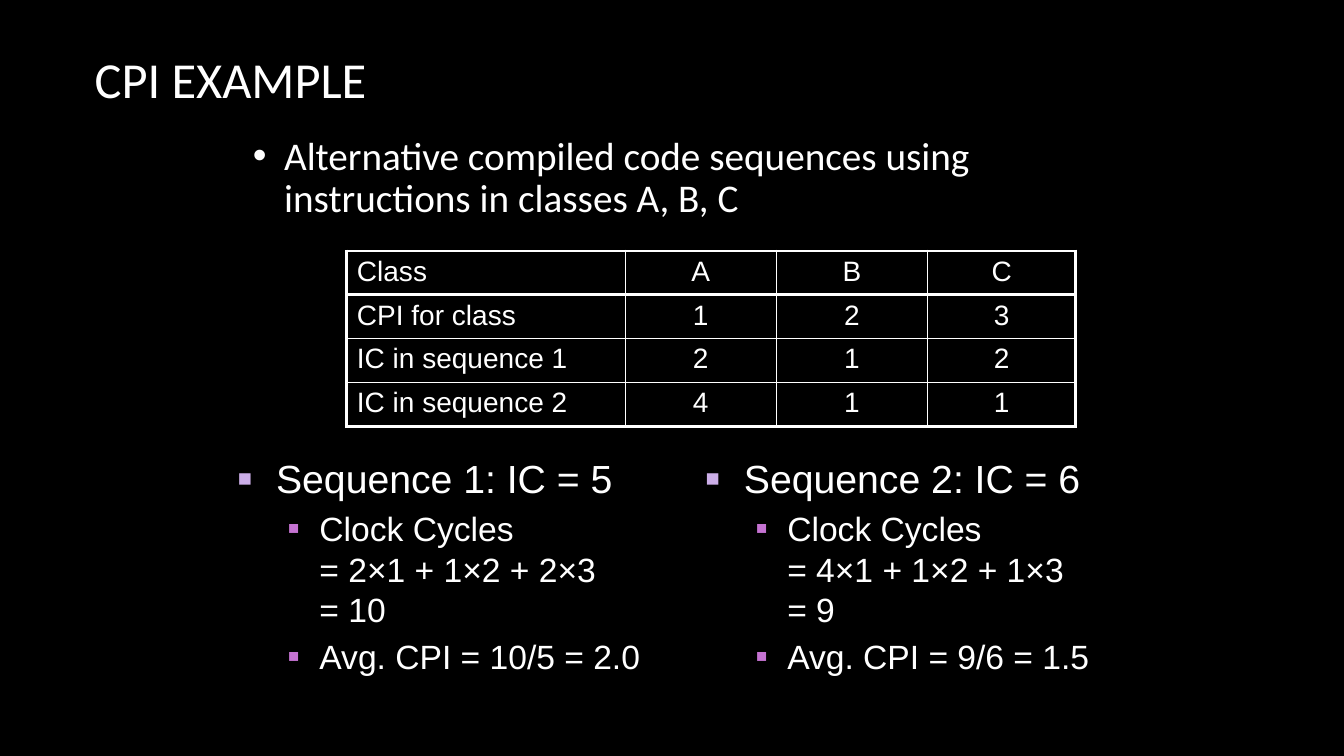
"""Build the CPI example slide: class table and two code sequences."""
from lxml.etree import SubElement
from pptx import Presentation
from pptx.dml.color import RGBColor
from pptx.enum.text import MSO_ANCHOR as ANCHOR, PP_ALIGN as ALIGN
from pptx.oxml.ns import qn
from pptx.util import Inches, Pt

BLACK = RGBColor(0x00, 0x00, 0x00)
WHITE = RGBColor(0xFF, 0xFF, 0xFF)
LILAC = RGBColor(0xCC, 0xAE, 0xE8)
ORCHID = RGBColor(0xC5, 0x73, 0xD2)

TITLE = "CPI EXAMPLE"
INTRO = "Alternative compiled code sequences using instructions in classes A, B, C"
ROWS = [
    ("Class", "A", "B", "C"),
    ("CPI for class", "1", "2", "3"),
    ("IC in sequence 1", "2", "1", "2"),
    ("IC in sequence 2", "4", "1", "1"),
]
COL_WIDTHS = (2.76, 1.5, 1.5, 1.47)
ROW_HEIGHTS = (0.43, 0.43, 0.43, 0.44)
SEQUENCES = [
    ("Sequence 1: IC = 5", "Clock Cycles\n= 2×1 + 1×2 + 2×3\n= 10", "Avg. CPI = 10/5 = 2.0"),
    ("Sequence 2: IC = 6", "Clock Cycles\n= 4×1 + 1×2 + 1×3\n= 9", "Avg. CPI = 9/6 = 1.5"),
]
SEQUENCE_LEFTS = (2.26, 6.9)
HEAD = dict(size=28, before=20, bullet="■", bullet_color=LILAC, bullet_pct=60, indent=(0.38, -0.38))
ITEM = dict(size=24, before=20, bullet="■", bullet_color=ORCHID, bullet_pct=55,
            indent=(0.81, -0.31), level=1)


def write(p, text, size, font="Arial", align=ALIGN.LEFT, level=0, line=None, before=0,
          after=0, indent=(0, 0), bullet=None, bullet_color=WHITE, bullet_pct=100):
    p.text = text
    p.alignment = align
    p.level = level
    p.line_spacing = line
    pPr = p._p.get_or_add_pPr()
    SubElement(SubElement(pPr, qn("a:spcBef")), qn("a:spcPct"), val=str(before * 1000))
    p.space_after = Pt(after)
    for name, value in zip(("marL", "indent"), indent):
        pPr.set(name, str(Inches(value)))
    if bullet:
        SubElement(SubElement(pPr, qn("a:buClr")), qn("a:srgbClr"), val=str(bullet_color))
        SubElement(pPr, qn("a:buSzPct"), val=str(bullet_pct * 1000))
        SubElement(pPr, qn("a:buFont"), typeface="Arial")
        SubElement(pPr, qn("a:buChar"), char=bullet)
    for r in p.runs:
        r.font.size = Pt(size)
        r.font.name = font
        r.font.color.rgb = WHITE


def add_text(s, box, items, anchor=ANCHOR.TOP):
    tf = s.shapes.add_textbox(*map(Inches, box)).text_frame
    tf.word_wrap = True
    tf.vertical_anchor = anchor
    for i, (text, style) in enumerate(items):
        write(tf.add_paragraph() if i else tf.paragraphs[0], text, **style)


def set_borders(cell, heavy):
    tcPr = cell._tc.get_or_add_tcPr()
    for side in "LRTB":
        width = Pt(2.25 if side in heavy else 1)
        ln = SubElement(tcPr, qn("a:ln" + side), w=str(width))
        SubElement(SubElement(ln, qn("a:solidFill")), qn("a:srgbClr"), val=str(WHITE))


def add_class_table(s):
    last_row, last_col = len(ROWS) - 1, len(COL_WIDTHS) - 1
    size = sum(COL_WIDTHS), sum(ROW_HEIGHTS)
    table = s.shapes.add_table(len(ROWS), len(COL_WIDTHS), *map(Inches, (3.44, 2.49, *size))).table
    table.first_row = table.horz_banding = False
    for col, width in zip(table.columns, COL_WIDTHS):
        col.width = Inches(width)
    for i, values in enumerate(ROWS):
        table.rows[i].height = Inches(ROW_HEIGHTS[i])
        for j, value in enumerate(values):
            cell = table.cell(i, j)
            heavy = {"L": j == 0, "R": j == last_col, "T": i <= 1, "B": i in (0, last_row)}
            set_borders(cell, [side for side, on in heavy.items() if on])
            cell.fill.background()
            write(cell.text_frame.paragraphs[0], value, size=20, before=20,
                  align=ALIGN.CENTER if j else ALIGN.LEFT)


def main():
    prs = Presentation()
    prs.slide_width, prs.slide_height = Inches(13.33), Inches(7.5)
    s = prs.slides.add_slide(prs.slide_layouts[6])
    s.background.fill.solid()
    s.background.fill.fore_color.rgb = BLACK
    add_text(s, (0.84, -0.02, 11.08, 1.59), [(TITLE, dict(size=36, font="Calibri"))], ANCHOR.MIDDLE)
    intro = dict(size=28, font="Calibri", line=0.9, after=10, bullet="•", indent=(0.31, -0.31))
    add_text(s, (2.41, 1.23, 9.05, 1.09), [(INTRO, intro)], ANCHOR.MIDDLE)
    add_class_table(s)
    for left, texts in zip(SEQUENCE_LEFTS, SEQUENCES):
        add_text(s, (left, 4.46, 4.25, 2.28), list(zip(texts, (HEAD, ITEM, ITEM))))
    prs.save("out.pptx")


if __name__ == "__main__":
    main()
